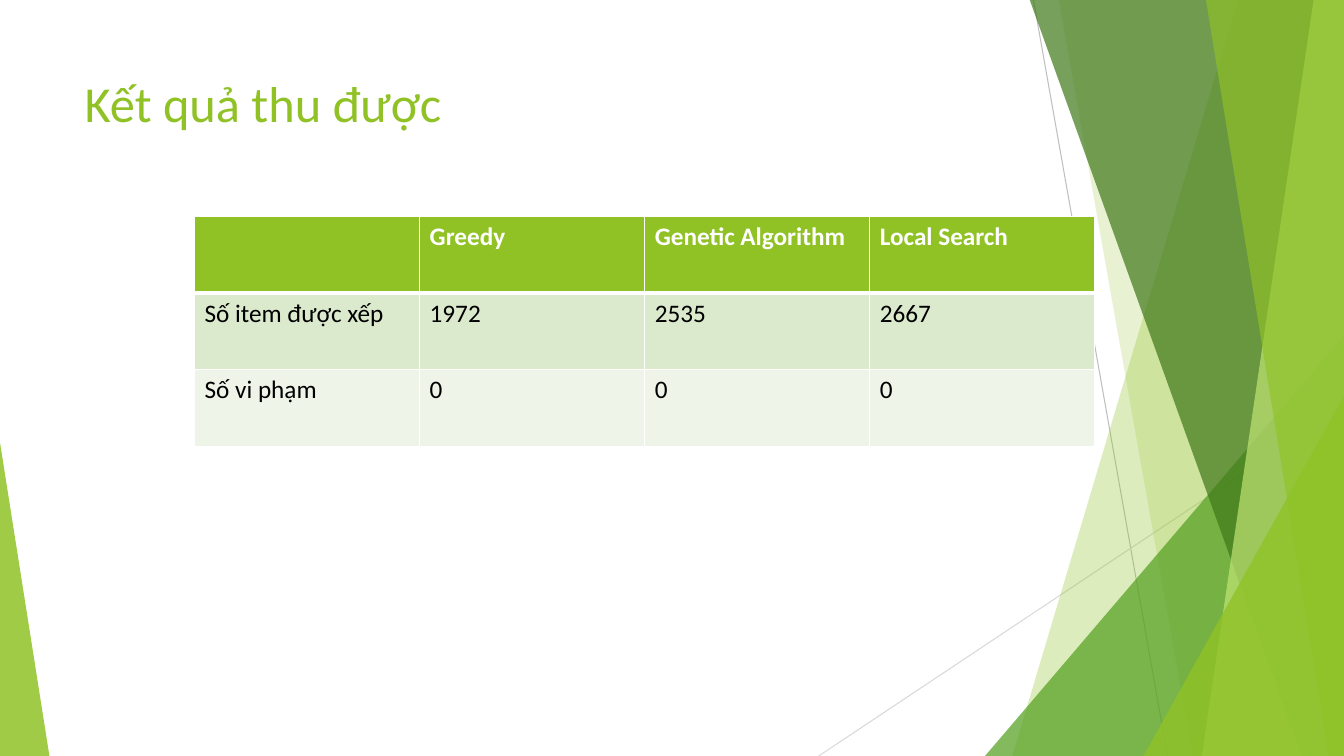
from dataclasses import dataclass

from lxml import etree
from pptx import Presentation
from pptx.dml.color import RGBColor
from pptx.enum.shapes import MSO_CONNECTOR, MSO_SHAPE
from pptx.enum.text import MSO_ANCHOR, PP_ALIGN
from pptx.oxml.ns import qn
from pptx.util import Inches, Pt

STRAIGHT = MSO_CONNECTOR.STRAIGHT
TRIANGLE = MSO_SHAPE.ISOSCELES_TRIANGLE
TOP = MSO_ANCHOR.TOP
LEFT = PP_ALIGN.LEFT

LIME = RGBColor(0x90, 0xC2, 0x26)
PALE_LIME = RGBColor(0xC0, 0xE4, 0x74)
GREEN = RGBColor(0x54, 0xA0, 0x21)
DARK_GREEN = RGBColor(0x3F, 0x78, 0x19)
GRAY = RGBColor(0xBF, 0xBF, 0xBF)
LIGHT_GRAY = RGBColor(0xD9, 0xD9, 0xD9)
WHITE = RGBColor(0xFF, 0xFF, 0xFF)
BLACK = RGBColor(0x00, 0x00, 0x00)
ROW_FILLS = [LIME, RGBColor(0xDB, 0xE9, 0xCD), RGBColor(0xEE, 0xF4, 0xE8)]

FONT = "Calibri"
WIDTH, HEIGHT = 13.33, 7.5
BAND_TOP = -0.01


@dataclass
class Line:
    start: tuple[float, float]
    end: tuple[float, float]
    color: RGBColor


@dataclass
class Band:
    """Four-sided facet that reaches the right edge of the slide."""
    top_left: float
    bottom_left: float
    color: RGBColor
    opacity: int


@dataclass
class Corner:
    """Right-angled triangle standing on the bottom edge."""
    left: float
    top: float
    width: float
    apex: float
    color: RGBColor
    opacity: int


LINES = [
    Line((10.25, 0), (11.58, HEIGHT), GRAY),
    Line((WIDTH, 4.03), (8.12, HEIGHT), LIGHT_GRAY),
]
FACETS = [
    Band(12.28, 10.04, LIME, 30),
    Band(10.5, 11.83, LIME, 20),
    Corner(9.77, 3.33, 3.56, 1, GREEN, 72),
    Band(10.21, 12.91, DARK_GREEN, 70),
    Band(13.03, 11.92, PALE_LIME, 70),
    Band(11.96, 13.18, LIME, 65),
    Corner(11.34, 3.93, 1.99, 1, LIME, 80),
    Corner(0, 4.39, 0.49, 0, LIME, 85),
]
RESULTS = [
    ["", "Greedy", "Genetic Algorithm", "Local Search"],
    ["Số item được xếp", "1972", "2535", "2667"],
    ["Số vi phạm", "0", "0", "0"],
]


def draw_line(line: Line) -> None:
    points = [Inches(value) for value in line.start + line.end]
    connector = slide.shapes.add_connector(STRAIGHT, *points)
    connector.line.color.rgb = line.color
    connector.line.width = Pt(0.75)
    etree.SubElement(connector._element.spPr, qn("a:effectLst"))


def draw_facet(facet: Band | Corner) -> None:
    if isinstance(facet, Band):
        outline = [(facet.top_left, BAND_TOP), (WIDTH, BAND_TOP),
                   (WIDTH, HEIGHT), (facet.bottom_left, HEIGHT)]
        points = [(Inches(x), Inches(y)) for x, y in outline]
        builder = slide.shapes.build_freeform(*points[0])
        builder.add_line_segments(points[1:], close=True)
        shape = builder.convert_to_shape()
    else:
        shape = slide.shapes.add_shape(
            TRIANGLE, Inches(facet.left), Inches(facet.top),
            Inches(facet.width), Inches(HEIGHT - facet.top))
        shape.adjustments[0] = facet.apex
    shape.shadow.inherit = False
    shape.line.fill.background()
    shape.fill.solid()
    shape.fill.fore_color.rgb = facet.color
    color = next(shape._element.spPr.iter(qn("a:srgbClr")))
    etree.SubElement(color, qn("a:alpha"), val=str(facet.opacity * 1000))


def write_text(frame, text: str, *, size: float, color: RGBColor,
               bold: bool = False) -> None:
    paragraph = frame.paragraphs[0]
    paragraph.alignment = LEFT
    run = paragraph.add_run()
    run.text = text
    run.font.name = FONT
    run.font.size = Pt(size)
    run.font.bold = bold
    run.font.color.rgb = color


def set_borders(cell, widths: dict[str, float]) -> None:
    properties = cell._tc.get_or_add_tcPr()
    for index, (side, width) in enumerate(widths.items()):
        border = etree.Element(qn(f"a:ln{side}"), w=str(Pt(width)))
        fill = etree.SubElement(border, qn("a:solidFill"))
        etree.SubElement(fill, qn("a:srgbClr"), val=str(WHITE))
        properties.insert(index, border)


presentation = Presentation()
presentation.slide_width = Inches(WIDTH)
presentation.slide_height = Inches(HEIGHT)
slide = presentation.slides.add_slide(presentation.slide_layouts[5])

# Background facets
for line in LINES:
    draw_line(line)
for facet in FACETS:
    draw_facet(facet)

# Title
title = slide.shapes.title
title.left, title.top = Inches(0.74), Inches(0.67)
title.width, title.height = Inches(9.4), Inches(1.44)
title.text_frame.vertical_anchor = TOP
write_text(title.text_frame, "Kết quả thu được", size=36, color=LIME)

# Results table
table = slide.shapes.add_table(
    len(RESULTS), len(RESULTS[0]), Inches(1.93), Inches(2.15),
    Inches(8.93), Inches(2.28)).table
for row, values in enumerate(RESULTS):
    header = row == 0
    for column, value in enumerate(values):
        cell = table.cell(row, column)
        cell.fill.solid()
        cell.fill.fore_color.rgb = ROW_FILLS[row]
        set_borders(cell, {"L": 1, "R": 1, "T": 3 if row == 1 else 1,
                           "B": 3 if header else 1})
        if value:
            write_text(cell.text_frame, value, size=18, bold=header,
                       color=WHITE if header else BLACK)

presentation.save("out.pptx")
